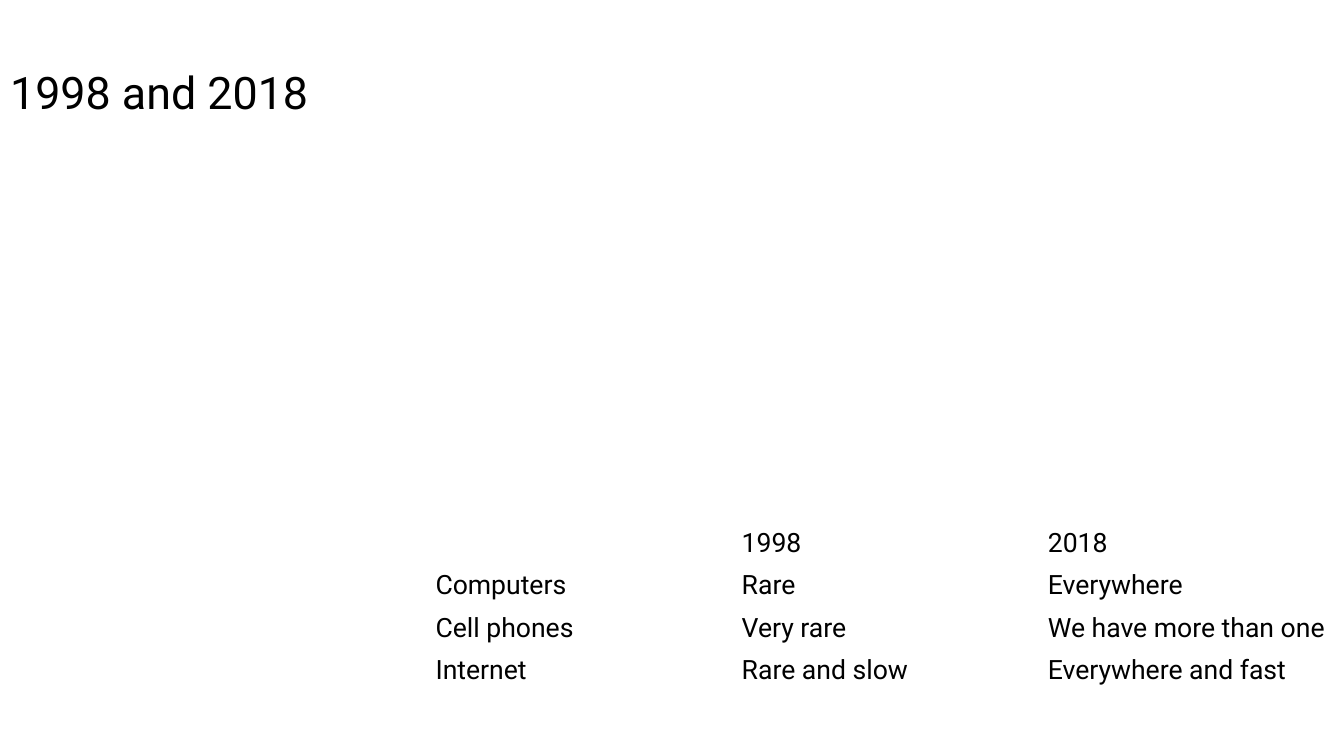
from lxml.etree import SubElement
from pptx import Presentation
from pptx.dml.color import RGBColor
from pptx.enum.text import MSO_ANCHOR, MSO_AUTO_SIZE, PP_ALIGN
from pptx.oxml.ns import qn
from pptx.util import Inches, Pt

FONT = "Roboto"
BLACK = "000000"
WHITE = "FFFFFF"
FILL_OPACITY = 84
ROWS = [
    ("", "1998", "2018"),
    ("Computers", "Rare", "Everywhere"),
    ("Cell phones", "Very rare", "We have more than one"),
    ("Internet", "Rare and slow", "Everywhere and fast"),
]


def color(hex_value):
    return RGBColor.from_string(hex_value)


def set_veil(fill, properties):
    fill.solid()
    fill.fore_color.rgb = color(WHITE)
    white = properties.find(qn("a:solidFill")).find(qn("a:srgbClr"))
    SubElement(white, qn("a:alpha"), val=str(FILL_OPACITY * 1000))


def add_text(paragraph, text, size):
    paragraph.alignment = PP_ALIGN.LEFT
    run = paragraph.add_run()
    run.text = text
    run.font.name = FONT
    run.font.size = Pt(size)
    run.font.bold = False
    run.font.color.rgb = color(BLACK)


def add_title(slide, left, top, width, height):
    title = slide.shapes.title
    title.left, title.top = Inches(left), Inches(top)
    title.width, title.height = Inches(width), Inches(height)
    set_veil(title.fill, title._element.spPr)
    frame = title.text_frame
    frame.word_wrap = True
    frame.auto_size = MSO_AUTO_SIZE.NONE
    frame.vertical_anchor = MSO_ANCHOR.BOTTOM
    paragraph = frame.paragraphs[0]
    paragraph.line_spacing = 0.9
    add_text(paragraph, "1998 and 2018", 32)


def add_comparison(slide, left, top, width, height):
    table = slide.shapes.add_table(
        len(ROWS), len(ROWS[0]),
        Inches(left), Inches(top), Inches(width), Inches(height),
    ).table
    table.first_row = False
    table.horz_banding = False
    for row_index, row in enumerate(ROWS):
        for column_index, text in enumerate(row):
            cell = table.cell(row_index, column_index)
            set_veil(cell.fill, cell._tc.tcPr)
            if text:
                add_text(cell.text_frame.paragraphs[0], text, 19)


def main():
    presentation = Presentation()
    presentation.slide_width = Inches(13.33)
    presentation.slide_height = Inches(7.5)
    slide = presentation.slides.add_slide(presentation.slide_layouts[5])
    slide.background.fill.solid()
    slide.background.fill.fore_color.rgb = color(WHITE)
    add_title(slide, 0, 0.54, 6.96, 0.69)
    add_comparison(slide, 4.22, 5.19, 9.11, 1.67)
    presentation.save("out.pptx")


if __name__ == "__main__":
    main()
